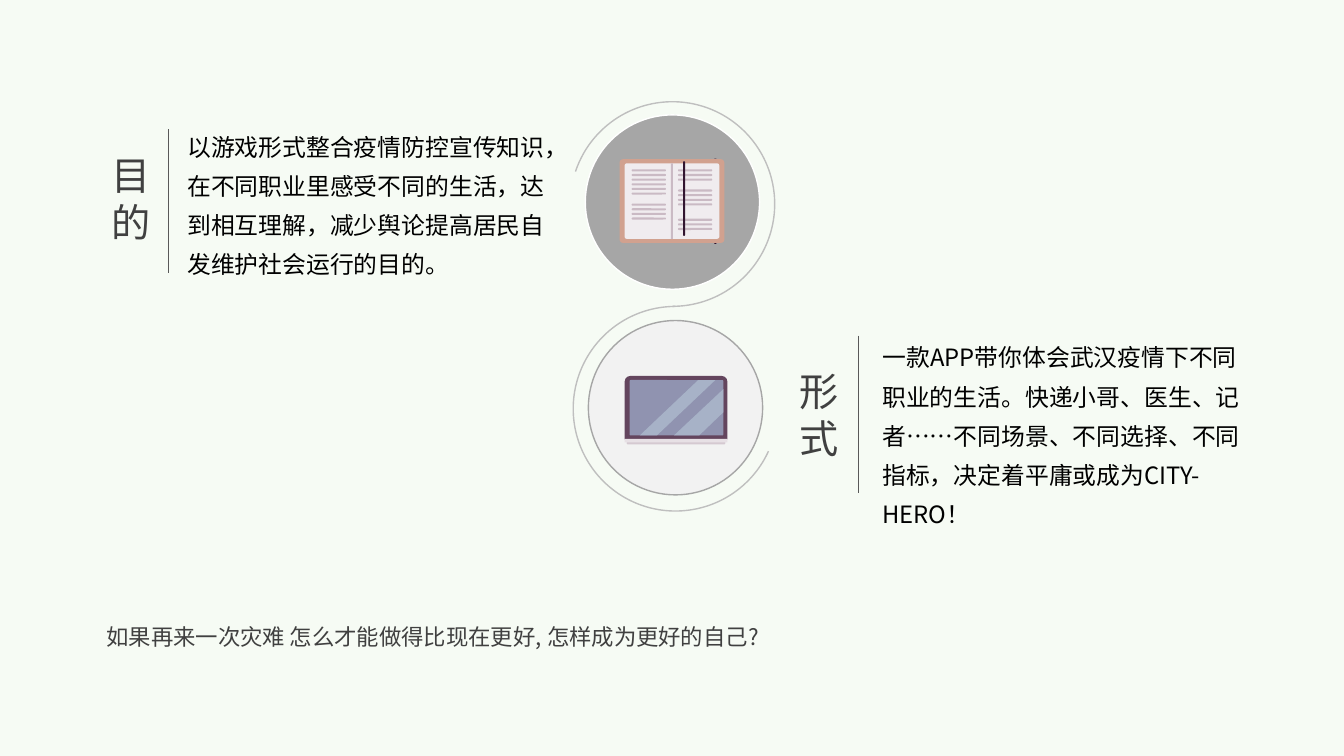
from lxml import etree
from pptx import Presentation
from pptx.dml.color import RGBColor
from pptx.enum.shapes import MSO_CONNECTOR, MSO_SHAPE
from pptx.enum.text import MSO_AUTO_SIZE
from pptx.oxml.ns import qn
from pptx.util import Inches, Pt

ARC = MSO_SHAPE.ARC
OVAL = MSO_SHAPE.OVAL
RECT = MSO_SHAPE.RECTANGLE
ROUNDED = MSO_SHAPE.ROUNDED_RECTANGLE
ROUND_TOP = MSO_SHAPE.ROUND_2_SAME_RECTANGLE
STRAIGHT = MSO_CONNECTOR.STRAIGHT
GROW = MSO_AUTO_SIZE.SHAPE_TO_FIT_TEXT

COLORS = {
    "background": "F6FBF4", "heading": "404040", "body": "000000",
    "divider": "595959", "ring": "BFBFBF", "gray": "A6A6A6",
    "white": "FFFFFF", "pale": "F2F2F2", "ribbon": "321530",
    "cover": "D1A18F", "page": "F0ECEF", "print": "CABAC4",
    "frame": "64455E", "screen": "9093B0", "glare": "A7B2C7",
    "base": "E7E0E5", "foot": "D5C9D1",
}
LATIN, CJK = "Calibri", "Noto Sans CJK SC"
COLUMN = ROW = Inches(0.1)


def color(name):
    return RGBColor.from_string(COLORS[name])


class Board:
    def __init__(self, slide):
        self.slide = slide
        self.shapes = slide.shapes
        slide.background.fill.solid()
        slide.background.fill.fore_color.rgb = color("background")

    def place(self, left, top, width, height):
        return (round(left * COLUMN), round(top * ROW),
                round(width * COLUMN), round(height * ROW))

    def paint(self, shape, fill=None, line=None):
        shape.shadow.inherit = False
        if fill:
            shape.fill.solid()
            shape.fill.fore_color.rgb = color(fill)
        else:
            shape.fill.background()
        if line:
            shape.line.color.rgb = color(line)
            shape.line.width = Pt(1)
        else:
            shape.line.fill.background()

    def shape(self, kind, box, fill=None, line=None, adjust=()):
        shape = self.shapes.add_shape(kind, *self.place(*box))
        for index, value in enumerate(adjust):
            shape.adjustments[index] = value
        self.paint(shape, fill, line)

    def arc(self, box, start, end):
        degree = 60000 / 100000
        self.shape(ARC, box, line="ring", adjust=(start * degree, end * degree))

    def polygon(self, points, fill):
        corners = [(round(x * COLUMN), round(y * ROW)) for x, y in points]
        builder = self.shapes.build_freeform(*corners[0])
        builder.add_line_segments(corners[1:], close=True)
        self.paint(builder.convert_to_shape(), fill)

    def divider(self, column, top, bottom):
        line = self.shapes.add_connector(
            STRAIGHT, round(column * COLUMN), round(top * ROW),
            round(column * COLUMN), round(bottom * ROW))
        line.line.color.rgb = color("divider")
        line.line.width = Pt(1)
        etree.SubElement(line._element.spPr, qn("a:effectLst"))

    def text(self, box, words, size, font, ink, spacing=None):
        frame = self.shapes.add_textbox(*self.place(*box)).text_frame
        frame.word_wrap = True
        frame.auto_size = GROW
        paragraph = frame.paragraphs[0]
        paragraph.text = words
        paragraph.font.size = Pt(size)
        paragraph.font.name = font
        paragraph.font.color.rgb = color(ink)
        if spacing:
            paragraph.line_spacing = Pt(spacing)

    def topic(self, heading_at, divider_at, body_box, heading, body):
        self.text((*heading_at, 4.5, 10.4), heading, 28, LATIN, "heading")
        self.divider(*divider_at)
        self.text(body_box, body, 17, CJK, "body", spacing=28)

    def book(self):
        self.shape(RECT, (70.9, 15.75, 0.2, 8.45), "ribbon")
        self.shape(ROUNDED, (61.5, 15.8, 10.4, 8.3), "cover", adjust=(0.04,))
        self.shape(ROUNDED, (62, 16.2, 9.4, 7.5), "page", adjust=(0.03,))
        self.shape(RECT, (66.6, 16.2, 0.2, 7.5), "print")
        pages = (
            (62.7, 3.4, ((16.8, 6), (20.2, 4))),
            (67.3, 3.4, ((16.8, 3), (18.8, 4), (21.7, 3))),
        )
        for left, width, passages in pages:
            for top, count in passages:
                for index in range(count):
                    self.shape(ROUNDED, (left, top + 0.46 * index, width, 0.2),
                               "print", adjust=(0.5,))
        self.shape(ROUNDED, (67.8, 16, 0.2, 7.4), "ribbon", adjust=(0.5,))

    def laptop(self):
        self.shape(ROUND_TOP, (62, 37.3, 10.2, 6.3), "frame", adjust=(0.09, 0))
        self.shape(ROUNDED, (62.2, 43.8, 9.8, 0.3), "foot", adjust=(0.5,))
        self.shape(ROUNDED, (62.5, 37.7, 9.3, 5.5), "screen", adjust=(0.02,))
        self.polygon(((69.3, 37.7), (63.5, 43.2), (65.2, 43.2), (71, 37.7)),
                     "glare")
        self.polygon(((71.8, 40.9), (71.8, 38.6), (66.9, 43.2), (69.4, 43.2)),
                     "glare")
        self.shape(RECT, (62, 43.55, 10.2, 0.35), "base")


def main():
    deck = Presentation()
    deck.slide_width, deck.slide_height = Inches(13.34), Inches(7.5)
    board = Board(deck.slides.add_slide(deck.slide_layouts[6]))

    board.arc((56.6, 10.1, 20.3, 20.3), 198.5, 90)
    board.arc((56.9, 30.4, 20.3, 20.3), 24.5, 270)
    board.shape(OVAL, (58.1, 11.4, 17.3, 17.3), "gray", "white")
    board.shape(OVAL, (58.4, 31.8, 17.3, 17.3), "pale", "gray")

    board.topic((10.1, 14.5), (16.7, 12.8, 27.1), (17.6, 11.6, 38.6, 16.6), "目的",
                "以游戏形式整合疫情防控宣传知识，在不同职业里感受不同的生活，"
                "达到相互理解，减少舆论提高居民自发维护社会运行的目的。")
    board.topic((78.4, 35.9), (85.2, 33.3, 48.9), (86.6, 32.5, 39.4, 16.6), "形式",
                "一款APP带你体会武汉疫情下不同职业的生活。快递小哥、医生、记者"
                "……不同场景、不同选择、不同指标，决定着平庸或成为CITY-HERO！")
    board.text((9.6, 61.3, 115.3, 3.7),
               "如果再来一次灾难 怎么才能做得比现在更好, 怎样成为更好的自己?",
               16, CJK, "heading")
    board.book()
    board.laptop()
    deck.save("out.pptx")


if __name__ == "__main__":
    main()
